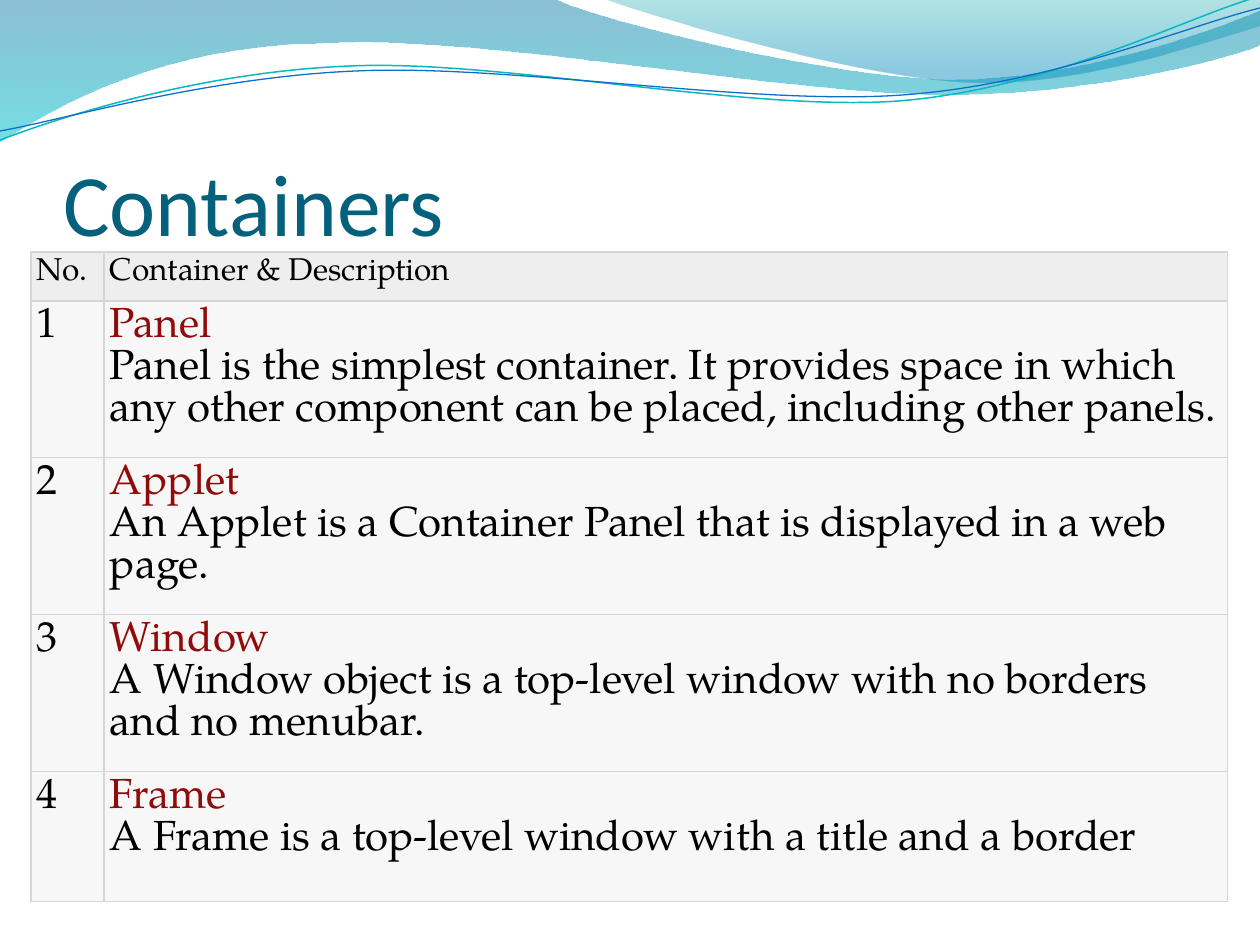
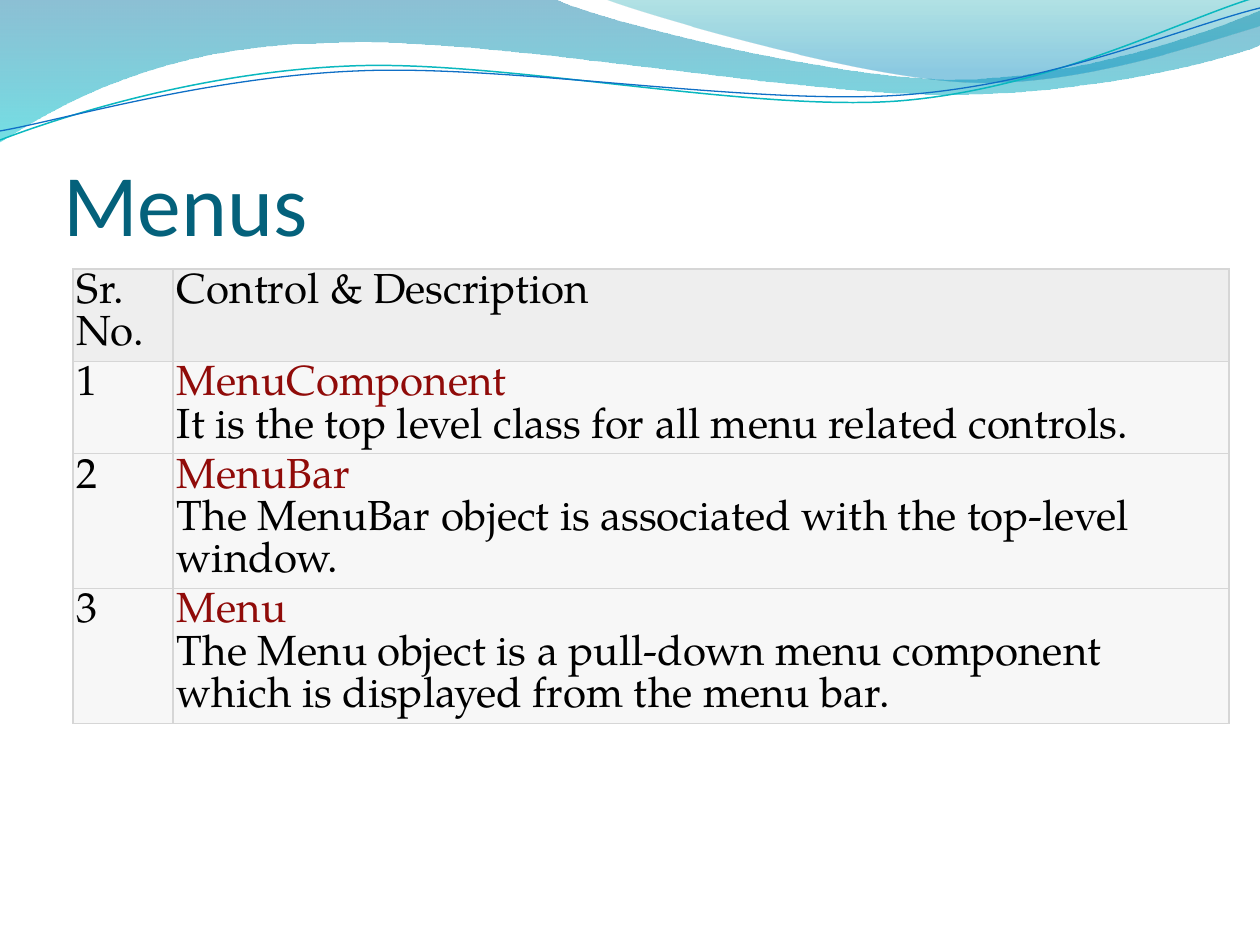
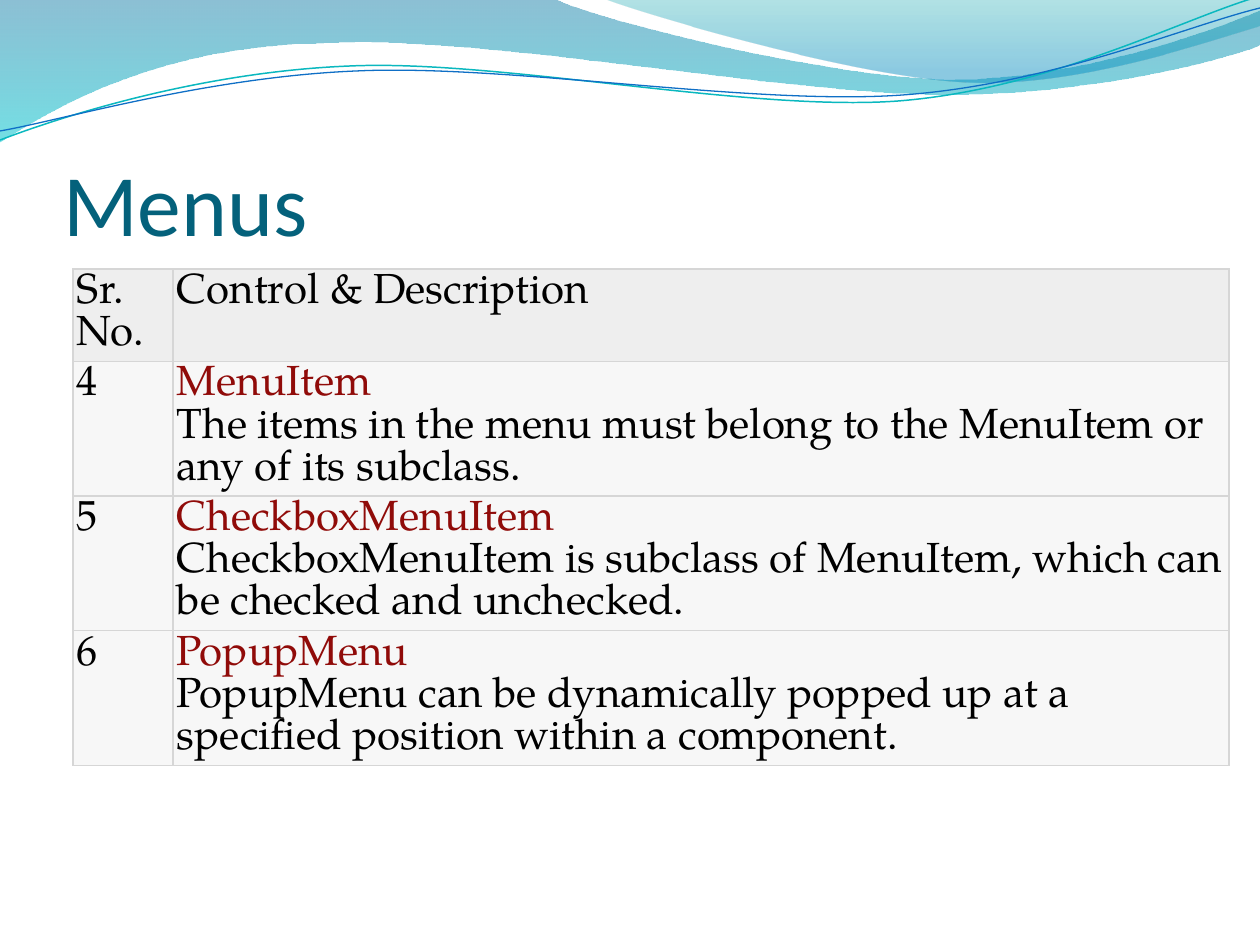
from dataclasses import dataclass
from lxml.etree import SubElement
from pptx import Presentation
from pptx.dml.color import RGBColor
from pptx.enum.text import MSO_ANCHOR, MSO_AUTO_SIZE, PP_ALIGN
from pptx.oxml import parse_xml
from pptx.oxml.ns import nsdecls, qn
from pptx.util import Emu, Pt


@dataclass(frozen=True)
class Theme:
    title: str = "04617B"
    text: str = "000000"
    term: str = "900B09"
    header_fill: str = "EEEEEE"
    row_fill: str = "F7F7F7"
    border: str = "D6D6D6"
    border_width: float = 0.75
    title_font: str = "Calibri"
    body_font: str = "TeX Gyre Pagella"
    title_size: int = 50
    body_size: int = 24
    small_size: int = 18


THEME = Theme()
SCALE = 914400 // 126
SLIDE_SIZE = (1260, 945)
TITLE_BOX = (63, 97, 1134, 157)

WAVES = [
    dict(start=(0, 0), closed=True,
         segments=[[(554, -1)],
                   [(600, 21), (837, 79), (955, 79)],
                   [(1075, 79), (1207, 33), (1260, 11)],
                   [(1261, 45)],
                   [(1239, 55), (1096, 96), (940, 94)],
                   [(784, 94), (481, 35), (324, 43)],
                   [(163, 45), (58, 105), (-1, 142)]],
         gradient=[(0, "0074A1", 45), (1, "00C6CF", 55)]),
    dict(start=(604, -1), closed=True,
         segments=[[(641, 14), (859, 78), (969, 82)],
                   [(1079, 87), (1211, 40), (1260, 26)],
                   [(1260, 0)]],
         gradient=[(0, "00A1A9", 30), (0.8, "008BBF", 45)]),
    dict(start=(0, 140), closed=False,
         segments=[[(60, 117), (199, 72), (349, 66)],
                   [(498, 59), (747, 112), (898, 101)],
                   [(1050, 89), (1182, 19), (1257, -3)]],
         line=("0AB8BF", 0.85)),
    dict(start=(0, 131), closed=False,
         segments=[[(59, 121), (207, 77), (357, 71)],
                   [(508, 64), (752, 106), (903, 95)],
                   [(1053, 84), (1186, 26), (1260, 8)]],
         line=("0F6FC6", 0.75)),
]

CONTAINER_GRID = dict(origin=(31, 252), columns=(73, 1124), inset=6,
                      header_size=THEME.small_size)
MENU_GRID = dict(origin=(73, 269), columns=(100, 1056), inset=4,
                 header_size=THEME.body_size)
MENU_HEADER = ("Sr. No.", "Control & Description")

SLIDES = [
    dict(title="Containers", grid=CONTAINER_GRID,
         header=("No.", "Container & Description"),
         heights=(49, 157, 157, 157, 130), first=1,
         entries=[
             ("Panel", "Panel is the simplest container. It provides space in which "
                       "any other component can be placed, including other panels."),
             ("Applet", "An Applet is a Container Panel that is displayed in a web page."),
             ("Window", "A Window object is a top-level window with no borders and no menubar."),
             ("Frame", "A Frame is a top-level window with a title and a border"),
         ]),
    dict(title="Menus", grid=MENU_GRID, header=MENU_HEADER,
         heights=(91, 91, 134, 134), first=1,
         entries=[
             ("MenuComponent", "It is the top level class for all menu related controls."),
             ("MenuBar", "The MenuBar object is associated with the top-level window."),
             ("Menu", "The Menu object is a pull-down menu component which is "
                      "displayed from the menu bar."),
         ]),
    dict(title="Menus", grid=MENU_GRID, header=MENU_HEADER,
         heights=(91, 134, 134, 134), first=4,
         entries=[
             ("MenuItem", "The items in the menu must belong to the MenuItem or any of its subclass."),
             ("CheckboxMenuItem", "CheckboxMenuItem is subclass of MenuItem, which can be "
                                  "checked and unchecked."),
             ("PopupMenu", "PopupMenu can be dynamically popped up at a specified "
                           "position within a component."),
         ]),
]


def px(length):
    return Emu(length * SCALE)


def rgb(code):
    return RGBColor.from_string(code)


def set_font(font, name, size, color):
    font.name = name
    font.size = Pt(size)
    font.color.rgb = rgb(color)


def bend(outline, segments):
    steps = iter(outline.element.findall(".//" + qn("a:lnTo")))
    for segment in segments:
        corners = [next(steps) for _ in segment]
        if len(corners) == 3:
            curve = corners[0]
            bezier = parse_xml(f"<a:cubicBezTo {nsdecls('a')}/>")
            curve.addprevious(bezier)
            for corner in corners:
                bezier.append(corner[0])
                corner.getparent().remove(corner)


def draw_wave(slide, wave):
    points = [point for segment in wave["segments"] for point in segment]
    builder = slide.shapes.build_freeform(*wave["start"], scale=SCALE)
    builder.add_line_segments(points, close=wave["closed"])
    outline = builder.convert_to_shape()
    outline.shadow.inherit = False
    bend(outline, wave["segments"])
    if "gradient" in wave:
        outline.fill.gradient()
        outline.fill.gradient_angle = 270
        for stop, (position, color, opacity) in zip(outline.fill.gradient_stops, wave["gradient"]):
            stop.position = position
            stop.color.rgb = rgb(color)
        tints = outline.element.spPr.findall(".//" + qn("a:gs"))
        for tint, (_, _, opacity) in zip(tints, wave["gradient"]):
            SubElement(tint[0], qn("a:alpha"), val=str(opacity * 1000))
        outline.line.fill.background()
    else:
        color, width = wave["line"]
        outline.fill.background()
        outline.line.color.rgb = rgb(color)
        outline.line.width = Pt(width)
    return outline.element


def share_waves(slide):
    backdrop = slide.slide_layout.shapes.element
    for depth, wave in enumerate(WAVES, start=2):
        backdrop.insert(depth, draw_wave(slide, wave))


def write_title(slide, wording):
    title = slide.shapes.title
    title.left, title.top, title.width, title.height = map(px, TITLE_BOX)
    frame = title.text_frame
    frame.auto_size = MSO_AUTO_SIZE.NONE
    frame.vertical_anchor = MSO_ANCHOR.BOTTOM
    frame.margin_left = frame.margin_right = frame.margin_bottom = 0
    frame.margin_top = px(6)
    frame.text = wording
    heading = frame.paragraphs[0]
    heading.alignment = PP_ALIGN.LEFT
    set_font(heading.font, THEME.title_font, THEME.title_size, THEME.title)


def style_cell(cell, fill, inset):
    cell.fill.solid()
    cell.fill.fore_color.rgb = rgb(fill)
    cell.margin_left = cell.margin_right = px(inset)
    cell.margin_top = cell.margin_bottom = px(inset)
    properties = cell._tc.get_or_add_tcPr()
    for order, side in enumerate("LRTB"):
        properties.insert(order, parse_xml(
            f'<a:ln{side} {nsdecls("a")} w="{Pt(THEME.border_width)}"><a:solidFill>'
            f'<a:srgbClr val="{THEME.border}"/></a:solidFill></a:ln{side}>'))


def write_plain(cell, wording, size):
    cell.text = wording
    set_font(cell.text_frame.paragraphs[0].font, THEME.body_font, size, THEME.text)


def write_entry(cell, term, description):
    paragraph = cell.text_frame.paragraphs[0]
    for wording, color in ((term, THEME.term), (description, THEME.text)):
        if paragraph.runs:
            paragraph.add_line_break()
        run = paragraph.add_run()
        run.text = wording
        set_font(run.font, THEME.body_font, THEME.body_size, color)


def add_listing(slide, content):
    grid, heights = content["grid"], content["heights"]
    columns, inset = grid["columns"], grid["inset"]
    table = slide.shapes.add_table(
        len(heights), len(columns), *map(px, grid["origin"]),
        px(sum(columns)), px(sum(heights))).table
    table.first_row = table.horz_banding = False
    for column, width in zip(table.columns, columns):
        column.width = px(width)
    for index, (row, height) in enumerate(zip(table.rows, heights)):
        row.height = px(height)
        for cell in row.cells:
            style_cell(cell, THEME.row_fill if index else THEME.header_fill, inset)
    for column, label in enumerate(content["header"]):
        write_plain(table.cell(0, column), label, grid["header_size"])
    for row, (term, description) in enumerate(content["entries"], start=1):
        write_plain(table.cell(row, 0), str(content["first"] + row - 1), THEME.body_size)
        write_entry(table.cell(row, 1), term, description)


deck = Presentation()
deck.slide_width, deck.slide_height = map(px, SLIDE_SIZE)
title_only = deck.slide_layouts[5]
for number, content in enumerate(SLIDES):
    slide = deck.slides.add_slide(title_only)
    if number == 0:
        share_waves(slide)
    write_title(slide, content["title"])
    add_listing(slide, content)
deck.save("out.pptx")
